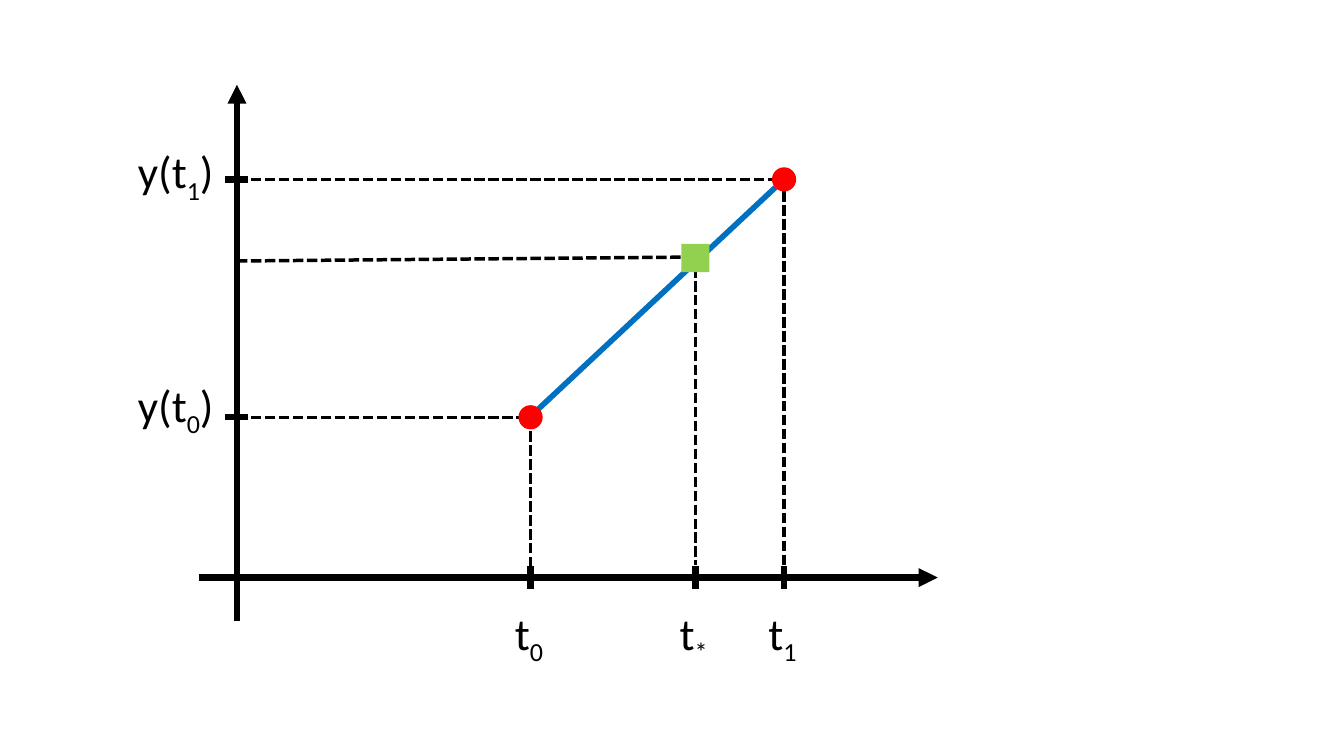
from dataclasses import dataclass

from lxml.etree import SubElement
from pptx import Presentation
from pptx.dml.color import RGBColor
from pptx.enum.dml import MSO_LINE
from pptx.enum.shapes import MSO_CONNECTOR, MSO_SHAPE
from pptx.enum.text import MSO_AUTO_SIZE, PP_ALIGN
from pptx.oxml.ns import qn
from pptx.util import Inches, Pt


@dataclass(frozen=True)
class Theme:
    ink: str = "000000"
    curve: str = "0070C0"
    sample: str = "FF0000"
    estimate: str = "92D050"
    font: str = "Calibri"
    label_size: float = 32
    axis_width: float = 4.5
    curve_width: float = 4
    guide_width: float = 2.5


class Plot:
    """Draws on one slide; positions are percentages of its width and height."""

    def __init__(self, prs, theme):
        self.theme = theme
        self.width, self.height = prs.slide_width, prs.slide_height
        self.shapes = prs.slides.add_slide(prs.slide_layouts[6]).shapes

    def x(self, share):
        return round(self.width * share / 100)

    def y(self, share):
        return round(self.height * share / 100)

    def line(self, start, end, width, color=None, dashed=False, arrow=False):
        (x1, y1), (x2, y2) = start, end
        c = self.shapes.add_connector(MSO_CONNECTOR.STRAIGHT, self.x(x1),
                                      self.y(y1), self.x(x2), self.y(y2))
        c.line.width = Pt(width)
        c.line.color.rgb = RGBColor.from_string(color or self.theme.ink)
        if dashed:
            c.line.dash_style = MSO_LINE.SQUARE_DOT
        if arrow:
            SubElement(c.line._get_or_add_ln(), qn("a:tailEnd"), type="triangle")
        SubElement(c._element.spPr, qn("a:effectLst"))

    def axis(self, start, end):
        self.line(start, end, self.theme.axis_width, arrow=True)

    def tick(self, x, y, dx=0, dy=0):
        self.line((x - dx, y - dy), (x + dx, y + dy), self.theme.axis_width)

    def guide(self, start, end):
        self.line(start, end, self.theme.guide_width, dashed=True)

    def marker(self, kind, x, y, size, color):
        side = self.y(size)
        sp = self.shapes.add_shape(kind, self.x(x) - side // 2,
                                   self.y(y) - side // 2, side, side)
        sp.shadow.inherit = False
        sp.fill.solid()
        sp.fill.fore_color.rgb = RGBColor.from_string(color)
        sp.line.fill.background()

    def label(self, x, y, width, base, sub, rest=""):
        height = 8.53
        box = self.shapes.add_textbox(self.x(x - width / 2), self.y(y - height / 2),
                                      self.x(width), self.y(height))
        tf = box.text_frame
        tf.word_wrap = False
        tf.auto_size = MSO_AUTO_SIZE.SHAPE_TO_FIT_TEXT
        p = tf.paragraphs[0]
        p.alignment = PP_ALIGN.LEFT
        for text, baseline in ((base, 0), (sub, -25000), (rest, 0)):
            if not text:
                continue
            r = p.add_run()
            r.text = text
            r.font.size = Pt(self.theme.label_size)
            r.font.name = self.theme.font
            r.font.color.rgb = RGBColor.from_string(self.theme.ink)
            if baseline:
                r.font._element.set("baseline", str(baseline))


def main():
    prs = Presentation()
    prs.slide_width, prs.slide_height = Inches(13.33), Inches(7.5)
    theme = Theme()
    plot = Plot(prs, theme)

    # Key positions on the two axes
    axis_x, axis_y = 17.63, 76.4
    t0, t_star, t1 = 39.48, 51.74, 58.34
    y0, y_star, y1 = 55.2, 34.13, 23.73
    dot, square = 3.2, 3.73
    dot_radius = 0.85

    # Interpolating segment and axes
    plot.line((57.69, 24.8), (t0, 55.07), theme.curve_width, theme.curve)
    plot.axis((14.78, axis_y), (69.77, axis_y))
    plot.axis((axis_x, 82.13), (axis_x, 11.2))

    # Ticks with their labels
    for t, sub in ((t0, "0"), (t_star, "*"), (t1, "1")):
        plot.tick(t, axis_y, dy=1.53)
        plot.label(t, 83.73, 3.83, "t", sub)
    for y, label_y, sub in ((y0, 53.6, "0"), (y1, 22.67, "1")):
        plot.tick(axis_x, y, dx=0.86)
        plot.label(13.2, label_y, 7.35, "y(t", sub, ")")

    # Dashed guides to the axes
    for t, y in ((t0, y0), (t1, y1)):
        plot.guide((axis_x, y), (t - dot_radius, y))
    plot.guide((axis_x, 34.53), (t_star, 34))
    for t, top, bottom in ((t0, y0, axis_y), (t1, 25.33, axis_y),
                           (t_star, 35.33, 74.8)):
        plot.guide((t, top), (t, bottom))

    # Known points and the estimated one
    for t, y in ((t0, y0), (t1, y1)):
        plot.marker(MSO_SHAPE.OVAL, t, y, dot, theme.sample)
    plot.marker(MSO_SHAPE.RECTANGLE, t_star, y_star, square, theme.estimate)

    prs.save("out.pptx")


if __name__ == "__main__":
    main()
